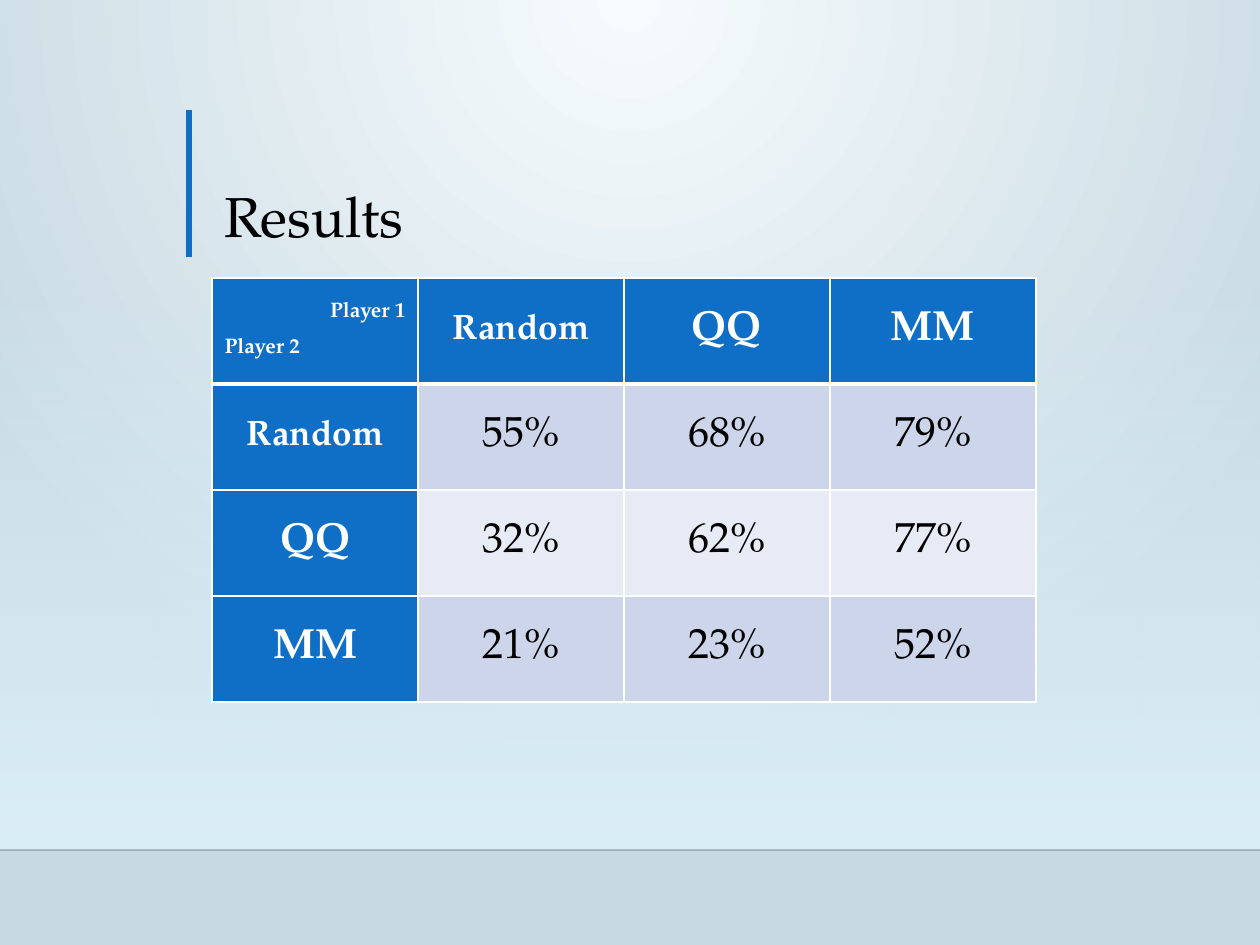
from lxml import etree
from pptx import Presentation
from pptx import util as u
from pptx.dml.color import RGBColor
from pptx.enum import shapes, text
from pptx.oxml import ns

SCALE = 914400 / 126
FONT = "TeX Gyre Pagella"
BLUE, WHITE, BLACK = "0F6FC6", "FFFFFF", "000000"
BANDS = ["CCD5EA", "E7EBF5"]
PLAYERS = ["Random", "QQ", "MM"]
NAME_SIZES = {"Random": 20, "QQ": 24, "MM": 24}
RATES = [
    ["55%", "68%", "79%"],
    ["32%", "62%", "77%"],
    ["21%", "23%", "52%"],
]


def px(length):
    return u.Emu(round(length * SCALE))


def color(hex_value):
    return RGBColor.from_string(hex_value)


def add_element(parent, tag, **attributes):
    element = etree.SubElement(parent, ns.qn(tag))
    for name, value in attributes.items():
        element.set(name, str(value))
    return element


def set_alpha(parent, percent):
    add_element(next(parent.iter(ns.qn("a:srgbClr"))), "a:alpha", val=percent * 1000)


def set_gradient(fill, first, last):
    fill.gradient()
    for stop, position, value in zip(fill.gradient_stops, (0, 1), (first, last)):
        stop.position = position
        stop.color.rgb = color(value)


def set_background(slide):
    set_gradient(slide.background.fill, "F6FBFD", "C7D9E2")
    linear = next(slide.background._cSld.iter(ns.qn("a:lin")))
    gradient = linear.getparent()
    gradient.remove(linear)
    circle = add_element(gradient, "a:path", path="circle")
    add_element(circle, "a:fillToRect", l=43000, t=0, r=43000, b=100000)


def add_glow(slide):
    glow = slide.shapes.add_shape(
        shapes.MSO_SHAPE.RECTANGLE, px(0), px(277), px(1260), px(573))
    glow.shadow.inherit = False
    glow.line.fill.background()
    set_gradient(glow.fill, "DBEFF9", "DBEFF9")
    set_alpha(glow._element.spPr, 0)
    linear = next(glow._element.iter(ns.qn("a:lin")))
    linear.set("ang", str(90 * 60000))


def add_line(slide, start, end, hex_value, width):
    line = slide.shapes.add_connector(
        shapes.MSO_CONNECTOR.STRAIGHT, *map(px, start + end))
    line.line.color.rgb = color(hex_value)
    line.line.width = u.Pt(width)
    add_element(line._element.spPr, "a:effectLst")
    return line


def add_run(paragraph, words, size, hex_value, bold=False):
    run = paragraph.add_run()
    run.text = words
    run.font.name = FONT
    run.font.size = u.Pt(size)
    run.font.bold = bold
    run.font.color.rgb = color(hex_value)


def set_title(slide, words):
    title = slide.shapes.title
    title.left, title.top, title.width, title.height = map(px, (212, 111, 893, 145))
    title.text_frame.vertical_anchor = text.MSO_ANCHOR.BOTTOM
    paragraph = title.text_frame.paragraphs[0]
    paragraph.alignment = text.PP_ALIGN.LEFT
    paragraph.line_spacing = 0.9
    add_run(paragraph, words, 32, BLACK)


def set_borders(cell, top, bottom):
    properties = cell._tc.get_or_add_tcPr()
    for side, width in (("L", 1), ("R", 1), ("T", top), ("B", bottom)):
        border = add_element(properties, f"a:ln{side}", w=u.Pt(width))
        add_element(add_element(border, "a:solidFill"), "a:srgbClr", val=WHITE)


def format_cell(cell, row, column):
    set_borders(cell, 3 if row == 1 else 1, 3 if row == 0 else 1)
    is_header = row == 0 or column == 0
    cell.fill.solid()
    cell.fill.fore_color.rgb = color(BLUE if is_header else BANDS[(row - 1) % 2])
    cell.vertical_anchor = text.MSO_ANCHOR.MIDDLE


def fill_corner(cell):
    first = cell.text_frame.paragraphs[0]
    first.alignment = text.PP_ALIGN.RIGHT
    add_run(first, "Player 1", 12, WHITE, True)
    second = cell.text_frame.add_paragraph()
    second.alignment = text.PP_ALIGN.LEFT
    second.space_before = u.Pt(9)
    add_run(second, "Player 2", 12, WHITE, True)


def fill_cell(cell, row, column):
    paragraph = cell.text_frame.paragraphs[0]
    paragraph.alignment = text.PP_ALIGN.CENTER
    if row and column:
        add_run(paragraph, RATES[row - 1][column - 1], 24, BLACK)
    else:
        player = PLAYERS[max(row, column) - 1]
        add_run(paragraph, player, NAME_SIZES[player], WHITE, True)


def add_results_table(slide):
    count = len(PLAYERS) + 1
    table = slide.shapes.add_table(
        count, count, px(212), px(278), px(206 * count), px(106 * count)).table
    table.horz_banding = False
    for row in range(count):
        for column in range(count):
            cell = table.cell(row, column)
            format_cell(cell, row, column)
            if row == column == 0:
                fill_corner(cell)
            else:
                fill_cell(cell, row, column)


def main():
    presentation = Presentation()
    presentation.slide_width, presentation.slide_height = px(1260), px(945)
    slide = presentation.slides.add_slide(presentation.slide_layouts[5])
    set_background(slide)
    add_glow(slide)
    horizon = add_line(slide, (0, 850), (1260, 850), "000001", 1)
    set_alpha(horizon._element.spPr, 20)
    add_line(slide, (189, 110), (189, 257), BLUE, 3)
    set_title(slide, "Results")
    add_results_table(slide)
    presentation.save("out.pptx")


if __name__ == "__main__":
    main()
